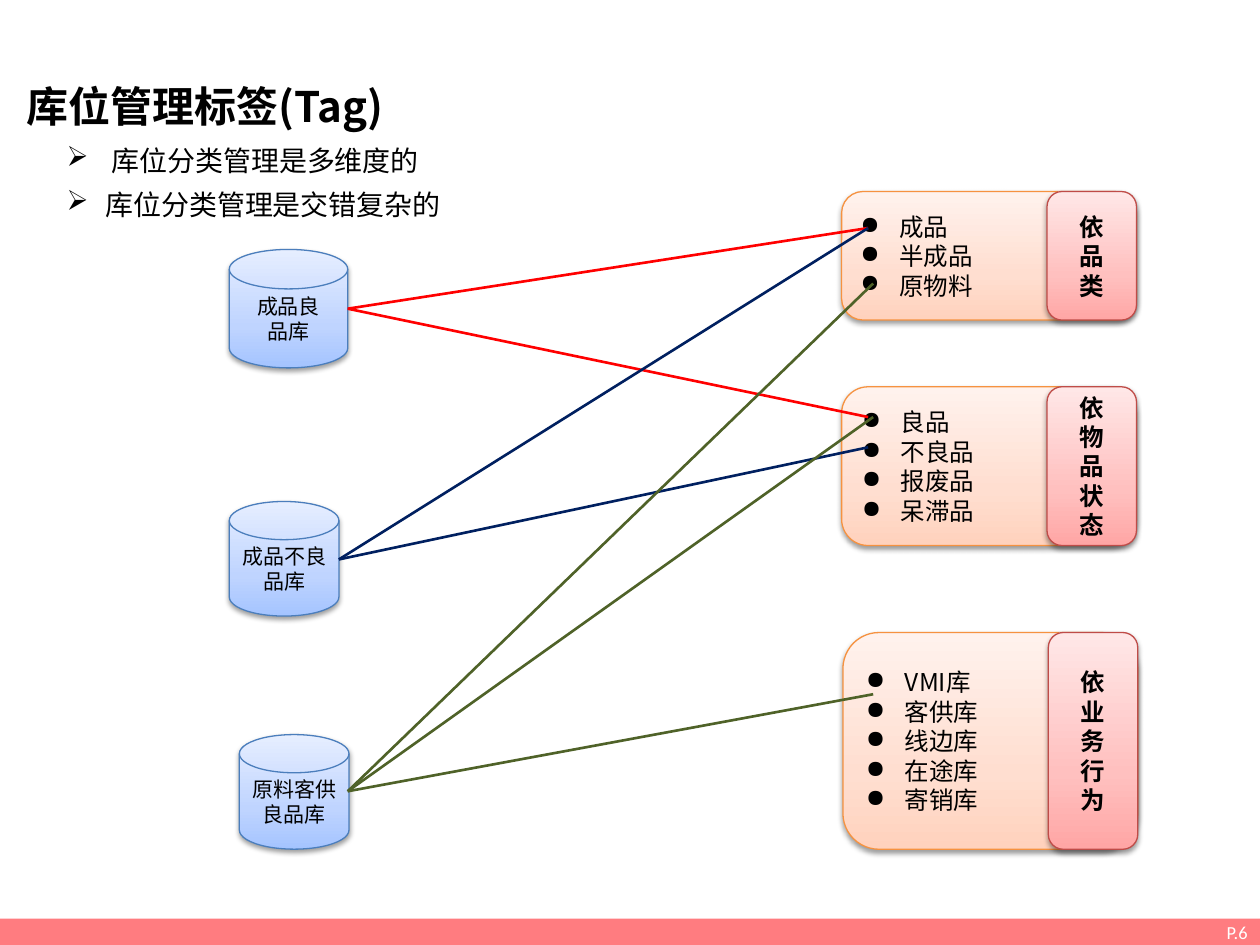
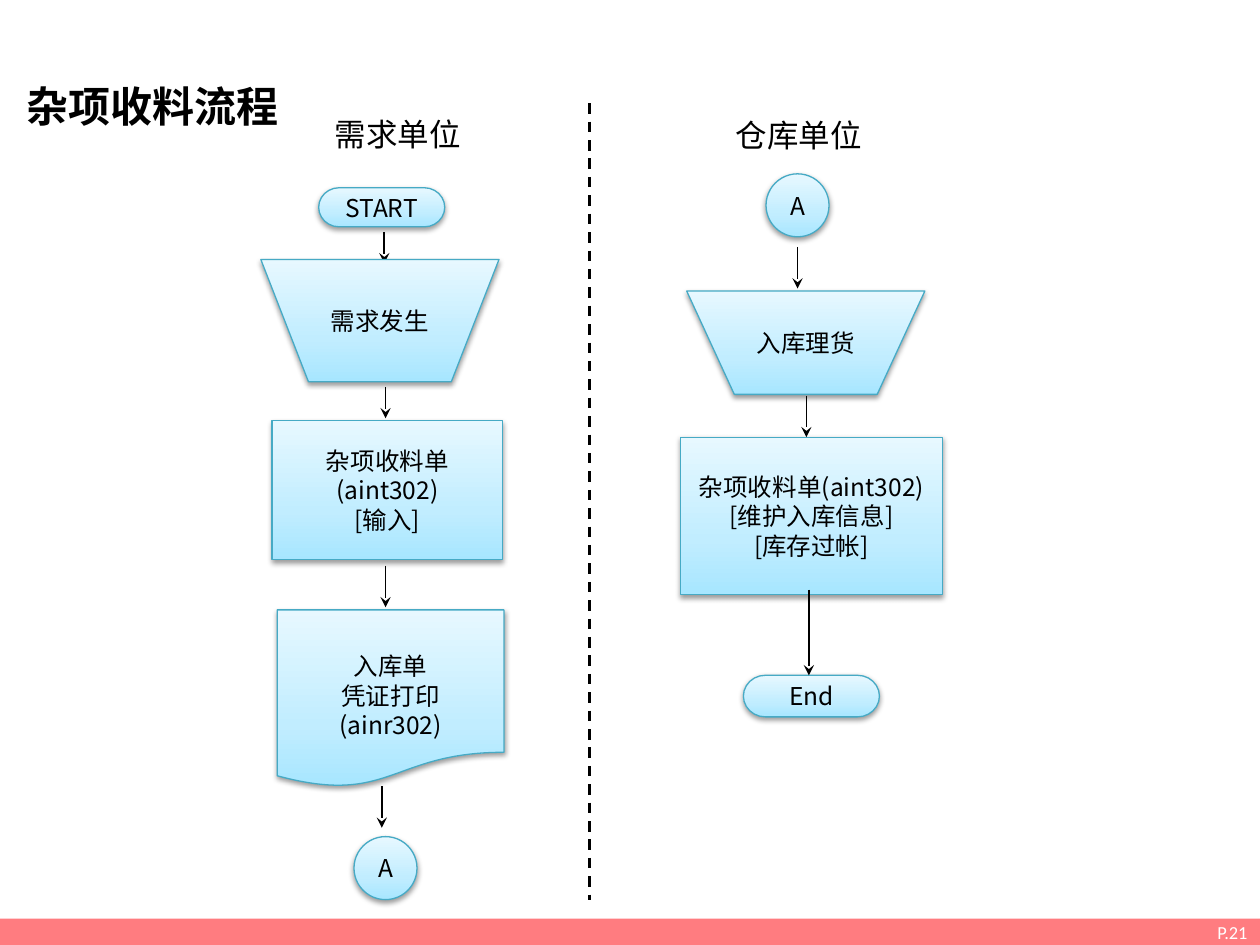
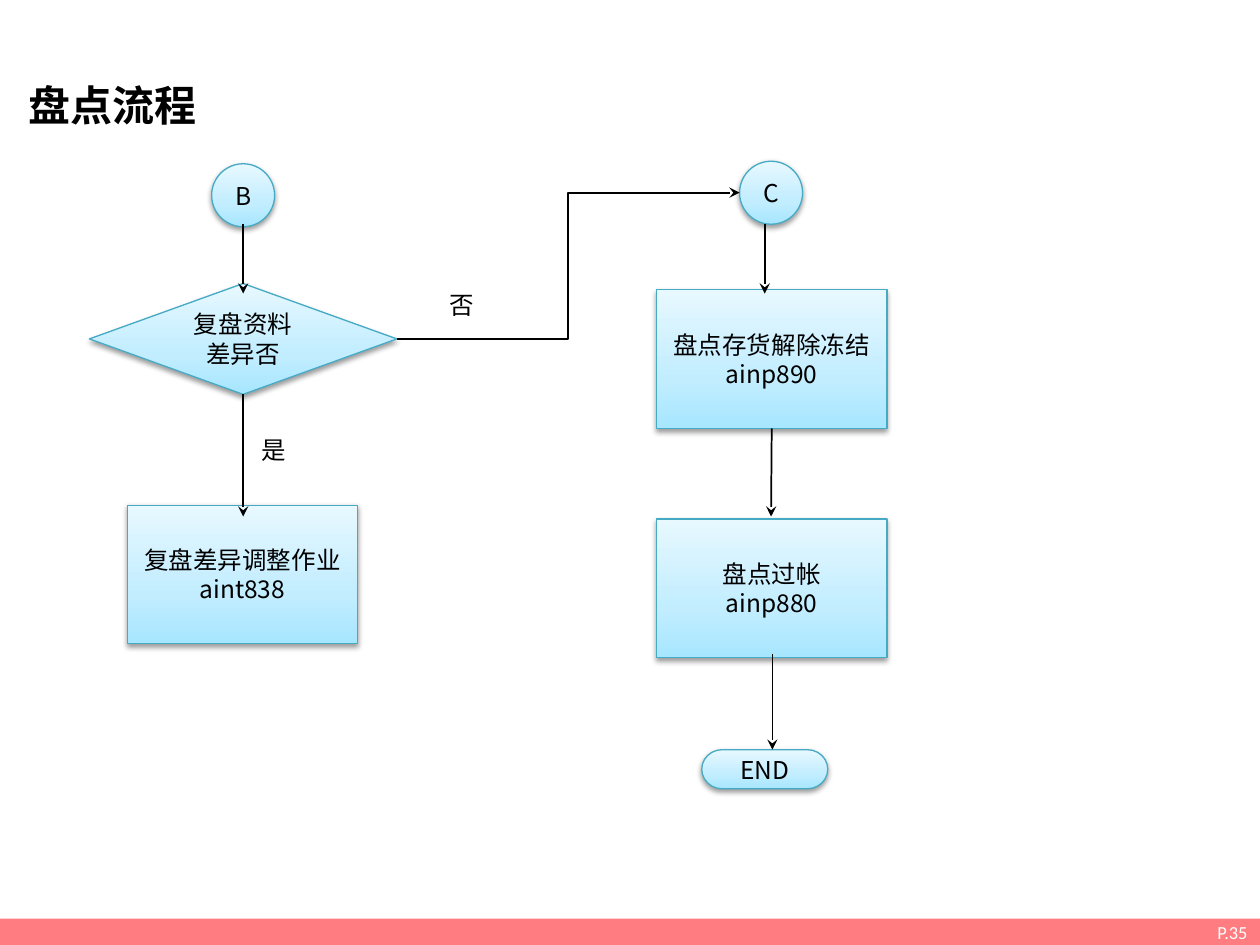
from copy import deepcopy
from dataclasses import dataclass

from lxml.etree import SubElement
from pptx import Presentation
from pptx.dml.color import RGBColor
from pptx.enum.dml import MSO_LINE
from pptx.enum.shapes import MSO_CONNECTOR as Link, MSO_SHAPE as Preset
from pptx.enum.text import MSO_ANCHOR as Anchor, MSO_AUTO_SIZE as AutoSize, PP_ALIGN as Align
from pptx.oxml.ns import qn
from pptx.util import Inches, Pt


@dataclass(frozen=True)
class Theme:
    font: str = "Noto Sans CJK SC"
    footer_font: str = "Calibri"
    ink: str = "000000"
    paper: str = "FFFFFF"
    band: str = "FF7C80"
    red: str = "FF0000"
    navy: str = "002060"
    olive: str = "4F6228"
    blue: tuple = ("A4C4FF", "BFD4FF", "E6EEFF", "4B7EBC")
    orange: tuple = ("FFD2BD", "FFDED0", "FFF2ED", "F69240")
    rose: tuple = ("FFA6A5", "FFC0BF", "FFE7E7", "BF4C48")
    aqua: tuple = ("A7E6FF", "C1EDFF", "E7F8FF", "46AAC5")
    title_size: float = 24
    heading_size: float = 18
    lead_size: float = 16
    body_size: float = 14
    store_size: float = 12
    footer_size: float = 10.5
    border: float = 0.75


class Deck:
    def __init__(self, theme):
        self.theme = theme
        self.presentation = Presentation()
        self.presentation.slide_width = Inches(10)
        self.presentation.slide_height = Inches(7.5)
        self.slide = None

    def new_slide(self, title, page, left=0.11, top=0.59):
        theme = self.theme
        self.slide = self.presentation.slides.add_slide(self.presentation.slide_layouts[5])
        band = self.slide.shapes.add_shape(Preset.RECTANGLE, *map(Inches, (0, 7.29, 10, 0.21)))
        band.shadow.inherit = False
        band.fill.solid()
        band.fill.fore_color.rgb = RGBColor.from_string(theme.band)
        band.line.fill.background()
        self.set_text(band, [f"P.{page}"], theme.footer_size, Align.RIGHT,
                      color=theme.paper, font=theme.footer_font)
        heading = self.slide.shapes.title
        heading.left, heading.top, heading.width, heading.height = map(
            Inches, (left, top, 4.17, 0.53))
        heading.text_frame.auto_size = AutoSize.NONE
        self.set_text(heading, [title], theme.title_size, bold=True, anchor=Anchor.TOP)

    def set_text(self, shape, lines, size, align=Align.LEFT, bold=False, color=None,
                 font=None, anchor=Anchor.MIDDLE, bullet=None, space_before=0):
        frame = shape.text_frame
        frame.word_wrap = True
        frame.vertical_anchor = anchor
        frame.text = "\n".join(lines)
        for paragraph in frame.paragraphs:
            paragraph.alignment = align
            paragraph.space_before = Pt(space_before)
            if bullet:
                properties = paragraph._p.get_or_add_pPr()
                properties.set("marL", str(Inches(0.31)))
                properties.set("indent", str(Inches(-0.31)))
                SubElement(properties, qn("a:buChar"), char=bullet)
            paragraph.font.size = Pt(size)
            paragraph.font.bold = bold
            paragraph.font.color.rgb = RGBColor.from_string(color or self.theme.ink)
            paragraph.font.name = font or self.theme.font
            SubElement(paragraph._p.pPr.find(qn("a:defRPr")), qn("a:ea"),
                       typeface=font or self.theme.font)

    def text(self, box, lines, size, **style):
        shape = self.slide.shapes.add_textbox(*map(Inches, box))
        self.set_text(shape, lines, size, anchor=Anchor.TOP, **style)

    def block(self, preset, box, lines, palette=None, size=None, align=Align.CENTER, **style):
        *shades, border = palette or self.theme.aqua
        shape = self.slide.shapes.add_shape(preset, *map(Inches, box))
        shape.fill.gradient()
        shape.fill.gradient_angle = 90
        stop_list = next(shape._element.spPr.iter(qn("a:gsLst")))
        stop_list.append(deepcopy(stop_list[-1]))
        for stop, shade, position in zip(shape.fill.gradient_stops, shades, (0, 0.35, 1)):
            stop.color.rgb = RGBColor.from_string(shade)
            stop.position = position
        shape.line.color.rgb = RGBColor.from_string(border)
        shape.line.width = Pt(self.theme.border)
        self.cast_shadow(shape)
        self.set_text(shape, lines, size or self.theme.body_size, align, **style)
        return shape

    def cast_shadow(self, shape):
        shape.shadow.inherit = False
        effects = shape._element.spPr.find(qn("a:effectLst"))
        shadow = SubElement(effects, qn("a:outerShdw"), blurRad=str(Pt(3.1)),
                            dist=str(Pt(1.6)), dir="5400000", rotWithShape="0")
        color = SubElement(shadow, qn("a:srgbClr"), val=self.theme.ink)
        SubElement(color, qn("a:alpha"), val="38000")

    def line(self, start, end, color=None, width=1.0, arrow=False, dashed=False,
             kind=Link.STRAIGHT, source=None):
        connector = self.slide.shapes.add_connector(kind, *map(Inches, (*start, *end)))
        connector.line.color.rgb = RGBColor.from_string(color or self.theme.ink)
        connector.line.width = Pt(width)
        if dashed:
            connector.line.dash_style = MSO_LINE.DASH
        properties = connector._element.spPr
        if arrow:
            SubElement(properties.find(qn("a:ln")), qn("a:tailEnd"), type="stealth")
        SubElement(properties, qn("a:effectLst"))
        if source is not None:
            connector.begin_connect(source, 2)

    def arrow(self, start, end, **style):
        self.line(start, end, arrow=True, **style)


def build_tags(deck):
    theme = deck.theme
    deck.new_slide("库位管理标签(Tag)", 6)
    deck.text((0.43, 1.09, 5.08, 0.74), [" 库位分类管理是多维度的", "库位分类管理是交错复杂的"],
              theme.lead_size, bullet="➢", space_before=6)

    stores = [
        ((1.82, 1.98, 0.94, 0.94), ["成品良", "品库"]),
        ((1.82, 3.98, 0.87, 0.91), ["成品不良品库"]),
        ((1.9, 5.83, 0.87, 0.91), ["原料客供良品库"]),
    ]
    for box, lines in stores:
        deck.block(Preset.FLOWCHART_MAGNETIC_DISK, box, lines, theme.blue, theme.store_size)

    tag_groups = [
        (6.68, 1.52, 1.02, "依品类", ["成品", "半成品", "原物料"]),
        (6.68, 3.07, 1.26, "依物品状态", ["良品", "不良品", "报废品", "呆滞品"]),
        (6.69, 5.02, 1.72, "依业务行为", ["VMI库", "客供库", "线边库", "在途库", "寄销库"]),
    ]
    for left, top, height, name, tags in tag_groups:
        deck.block(Preset.ROUNDED_RECTANGLE, (left, top, 2.34, height), tags, theme.orange,
                   align=Align.LEFT, bullet="●")
        deck.block(Preset.ROUNDED_RECTANGLE, (left + 1.63, top, 0.71, height), list(name),
                   theme.rose, bold=True)

    store_links = [
        (theme.red, (2.76, 2.45), 6.89, (1.81, 3.31)),
        (theme.navy, (2.69, 4.44), 6.89, (1.81, 3.55)),
        (theme.olive, (2.76, 6.28), 6.93, (2.25, 3.31, 5.51)),
    ]
    for color, start, tag_left, tag_tops in store_links:
        for tag_top in tag_tops:
            deck.line(start, (tag_left, tag_top), color, 1.5)


def build_receipt_flow(deck):
    theme = deck.theme
    deck.new_slide("杂项收料流程", 21)
    steps = [
        (Preset.FLOWCHART_TERMINATOR, (2.53, 1.49, 1, 0.31), ["START"]),
        (Preset.RECTANGLE, (2.16, 3.34, 1.83, 1.1), ["杂项收料单(aint302)", "[输入]"]),
        (Preset.RECTANGLE, (5.4, 3.47, 2.08, 1.25),
         ["杂项收料单(aint302)", "[维护入库信息]", "[库存过帐]"]),
        (Preset.FLOWCHART_TERMINATOR, (5.9, 5.36, 1.08, 0.33), ["End"]),
        (Preset.FLOWCHART_CONNECTOR, (2.81, 6.64, 0.5, 0.5), ["A"]),
        (Preset.FLOWCHART_CONNECTOR, (6.08, 1.38, 0.5, 0.5), ["A"]),
    ]
    for step in steps:
        deck.block(*step)
    voucher = deck.block(Preset.FLOWCHART_DOCUMENT, (2.2, 4.84, 1.8, 1.41),
                         ["入库单", "凭证打印", "(ainr302)"])
    voucher.text_frame.margin_top = Inches(0.28)

    arrows = [
        (3.05, 1.84, 2.09, 1), (3.06, 3.07, 3.32, 1), (3.06, 4.49, 4.82, 0.75),
        (3.03, 6.24, 6.57, 1), (6.33, 1.96, 2.29, 1), (6.4, 3.14, 3.47, 1),
        (6.42, 4.68, 5.36, 0.75),
    ]
    for left, top, bottom, width in arrows:
        deck.arrow((left, top), (left, bottom), width=width)

    for box, name in (((2.07, 2.06, 1.89, 0.97), "需求发生"),
                      ((5.45, 2.31, 1.89, 0.82), "入库理货")):
        deck.block(Preset.FLOWCHART_MANUAL_OPERATION, box, [name])

    deck.line((4.68, 0.82), (4.68, 7.14), width=1.5, dashed=True)
    for left, top, unit in ((2.56, 0.86, "需求单位"), (5.74, 0.87, "仓库单位")):
        deck.text((left, top, 1.47, 0.42), [unit], theme.heading_size)


def build_count_flow(deck):
    deck.new_slide("盘点流程", 35, left=0.13, top=0.58)
    for left, top, letter in ((1.68, 1.3, "B"), (5.87, 1.28, "C")):
        deck.block(Preset.FLOWCHART_CONNECTOR, (left, top, 0.5, 0.5), [letter])
    decision = deck.block(Preset.FLOWCHART_DECISION, (0.71, 2.25, 2.44, 0.88),
                          ["复盘资料", "差异否"])
    deck.block(Preset.RECTANGLE, (1.01, 4.01, 1.83, 1.1), ["复盘差异调整作业aint838"])
    unfreeze = deck.block(Preset.RECTANGLE, (5.21, 2.3, 1.83, 1.1), ["盘点存货解除冻结ainp890"])
    deck.block(Preset.RECTANGLE, (5.21, 4.12, 1.83, 1.1), ["盘点过帐", "ainp880"])
    deck.block(Preset.FLOWCHART_TERMINATOR, (5.57, 5.95, 1, 0.31), ["END"])

    deck.arrow((1.93, 1.78), (1.93, 2.33))
    deck.arrow((3.15, 2.69), (5.87, 1.53), kind=Link.ELBOW)
    deck.arrow((1.93, 3.13), (1.93, 4.1), source=decision)
    deck.arrow((6.07, 1.78), (6.07, 2.33))
    deck.arrow((6.13, 3.4), (6.12, 4.1), source=unfreeze)
    deck.arrow((6.13, 5.19), (6.13, 5.95))
    for left, top, answer in ((3.47, 2.25, "否"), (1.98, 3.4, "是")):
        deck.text((left, top, 0.39, 0.35), [answer], deck.theme.body_size)


def main():
    deck = Deck(Theme())
    build_tags(deck)
    build_receipt_flow(deck)
    build_count_flow(deck)
    deck.presentation.save("out.pptx")


if __name__ == "__main__":
    main()
